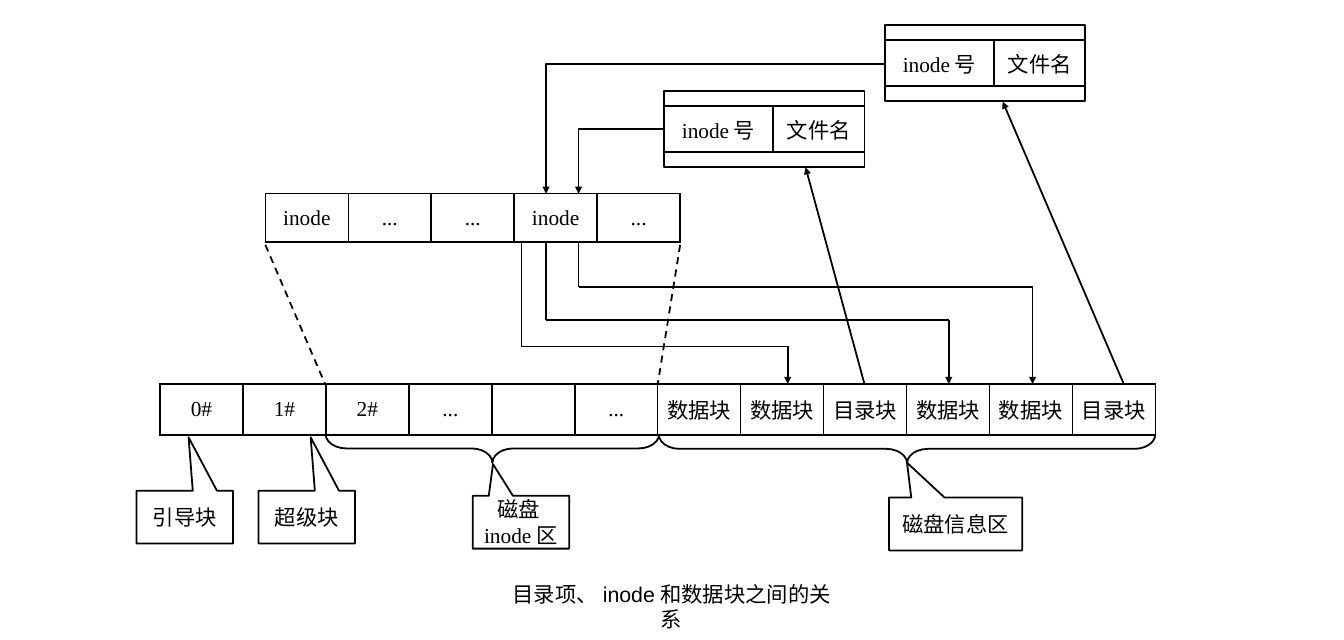
from itertools import groupby, pairwise

from lxml import etree
from pptx import Presentation
from pptx.dml.color import RGBColor
from pptx.enum.dml import MSO_LINE
from pptx.enum.shapes import MSO_CONNECTOR, MSO_SHAPE
from pptx.enum.text import MSO_ANCHOR, PP_ALIGN
from pptx.oxml import parse_xml
from pptx.oxml.ns import qn
from pptx.util import Pt

BLACK = RGBColor(0, 0, 0)
STRAIGHT, ELBOW = MSO_CONNECTOR.STRAIGHT, MSO_CONNECTOR.ELBOW
BRACE, CALLOUT, RECT = MSO_SHAPE.LEFT_BRACE, MSO_SHAPE.RECTANGULAR_CALLOUT, MSO_SHAPE.RECTANGLE
DASH, MIDDLE, CENTER = MSO_LINE.DASH, MSO_ANCHOR.MIDDLE, PP_ALIGN.CENTER
LATIN_FONT, CHINESE_FONT, CAPTION_FONT = "Times New Roman", "Lato", "Arial"
LINE_WIDTH = Pt(1.5)
DRAWING_NS = "http://schemas.openxmlformats.org/drawingml/2006/main"
BORDER = (
    f'<a:{{side}} xmlns:a="{DRAWING_NS}" w="{LINE_WIDTH}"><a:solidFill>'
    f'<a:srgbClr val="{BLACK}"/></a:solidFill></a:{{side}}>'
)

prs = Presentation()
prs.slide_width, prs.slide_height = Pt(1134), Pt(540)
shapes = prs.slides.add_slide(prs.slide_layouts[6]).shapes


def write_label(frame, text):
    """Centre a label, with one run per script."""
    paragraph = frame.paragraphs[0]
    paragraph.alignment = CENTER
    for is_latin, letters in groupby(text, str.isascii):
        run = paragraph.add_run()
        run.text = "".join(letters)
        run.font.name = LATIN_FONT if is_latin else CHINESE_FONT
        run.font.size = Pt(18)
        run.font.color.rgb = BLACK


def add_line(start, end, kind=STRAIGHT, arrow=False):
    line = shapes.add_connector(kind, *map(Pt, start + end))
    line.line.color.rgb = BLACK
    line.line.width = LINE_WIDTH
    properties = line._element.spPr
    if arrow:
        etree.SubElement(properties.find(qn("a:ln")), qn("a:tailEnd"), type="triangle")
    etree.SubElement(properties, qn("a:effectLst"))
    return line


# Disk blocks, inode list and the two directory entries
BLOCK_WIDTH = 70
DISK_LEFT, DISK_TOP = 135, 324
INODE_LEFT, INODE_TOP, INODE_BOTTOM = 223.9, 163.4, 204.5
ENTRY_COLUMNS, ENTRY_HEIGHT = [92.2, 77], 38.9
entries = [(560.2, 89.3), (746.6, 33.8)]

disk_labels = ["0#", "1#", "2#", "...", "", "..."] + ["数据块", "数据块", "目录块"]
disk_labels += ["数据块", "数据块", "目录块"]
inode_labels = ["inode", "...", "...", "inode", "..."]

strips = [
    (DISK_LEFT, DISK_TOP, 43.2, [BLOCK_WIDTH] * 12, disk_labels),
    (INODE_LEFT, INODE_TOP, 41, [BLOCK_WIDTH] * 5, inode_labels),
]
for left, top in entries:
    strips.append((left, top, ENTRY_HEIGHT, ENTRY_COLUMNS, ["inode号", "文件名"]))

for left, top, height, widths, labels in strips:
    strip = shapes.add_table(
        1, len(labels), Pt(left), Pt(top), Pt(sum(widths)), Pt(height)
    ).table
    strip.first_row = strip.horz_banding = False
    for column, width, cell, label in zip(strip.columns, widths, strip.rows[0].cells, labels):
        column.width = Pt(width)
        cell.vertical_anchor = MIDDLE
        write_label(cell.text_frame, label)
        for side in ("lnL", "lnR", "lnT", "lnB"):
            cell._tc.get_or_add_tcPr().append(parse_xml(BORDER.format(side=side)))
        cell.fill.background()

# Outlines, braces and callouts: preset, box, rotation, adjustments, label
outlines = [(RECT, (left, top - 12.4, sum(ENTRY_COLUMNS), 64), 0, [], "") for left, top in entries]
outlines += [
    (BRACE, (403.2, 237.6, 24.5, 281.5), 270, [0.715, 0.5], ""),
    (BRACE, (753.1, 169.2, 24.5, 419), 270, [0.715, 0.5], ""),
    (CALLOUT, (115.2, 414, 81.4, 44.6), 0, [0.04, -1.51], "引导块"),
    (CALLOUT, (218.2, 414, 81.4, 44.6), 0, [0.04, -1.51], "超级块"),
    (CALLOUT, (398.9, 418.3, 81.4, 44.6), 0, [-0.29, -1.1], "磁盘inode区"),
    (CALLOUT, (750.2, 419.8, 112.3, 44.6), 0, [-0.365, -1.16], "磁盘信息区"),
]
for preset, box, rotation, adjustments, label in outlines:
    outline = shapes.add_shape(preset, *map(Pt, box))
    outline.rotation = rotation
    outline.shadow.inherit = False
    outline.fill.background()
    outline.line.color.rgb = BLACK
    outline.line.width = LINE_WIDTH
    for index, value in enumerate(adjustments):
        outline.adjustments[index] = value
    if label:
        outline.text_frame.word_wrap = True
        outline.text_frame.vertical_anchor = MIDDLE
        write_label(outline.text_frame, label)

# Dashed lines from the inode list to its disk area
for start_x, end_x in [(INODE_LEFT, 274.3), (INODE_LEFT + 5 * BLOCK_WIDTH, 555)]:
    add_line((start_x, 206.6), (end_x, DISK_TOP)).line.dash_style = DASH

# Directory entries point to the inode
for start, end in [((560.2, 108.7), (488.2, INODE_TOP)), ((746.6, 54), (460.8, INODE_TOP))]:
    elbow = add_line(start, end, ELBOW, arrow=True)
    elbow._element.spPr.find(qn("a:prstGeom")).set("prst", "bentConnector2")

# The inode points to its data blocks
for inode_x, turn_y, block_x in [(440, 292.3, 664.6), (460.8, 270, 800.6), (488.2, 242, 871.2)]:
    route = [(inode_x, INODE_BOTTOM), (inode_x, turn_y), (block_x, turn_y), (block_x, DISK_TOP)]
    for start, end in pairwise(route):
        add_line(start, end, arrow=end == route[-1])

# Directory blocks point to their entries
add_line((729.4, DISK_TOP), (679.7, 141.1), arrow=True)
add_line((948.2, DISK_TOP), (846, 85.7), arrow=True)

# Caption
caption = shapes.add_textbox(Pt(416.9), Pt(486.7), Pt(299.5), Pt(28.8)).text_frame
caption.word_wrap = True
write_label(caption, "目录项、inode和数据块之间的关系")
for run in caption.paragraphs[0].runs:
    run.font.name = CAPTION_FONT

prs.save("out.pptx")
